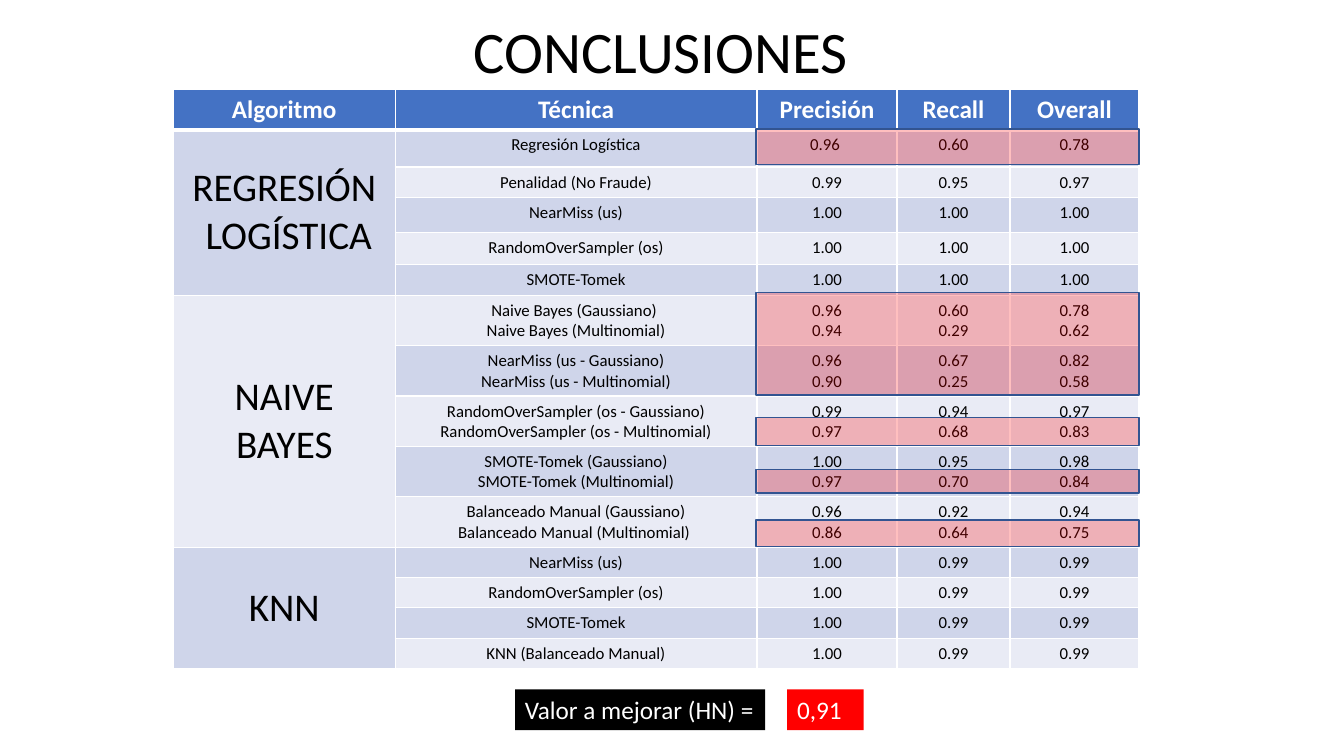
from dataclasses import dataclass

from lxml import etree
from pptx import Presentation
from pptx import util as u
from pptx.dml.color import RGBColor
from pptx.enum import shapes, text
from pptx.oxml import ns

FONT = "Calibri"
WHITE, BLACK, RED = "FFFFFF", "000000", "FF0000"
HEADER_BLUE, OUTLINE_BLUE = "4472C4", "325491"
BANDS = ("CFD5EA", "E9EBF5")
HEADINGS = ("Algoritmo", "Técnica", "Precisión", "Recall", "Overall")
COLUMN_WIDTHS = (158.4, 258.48, 100.08, 80.64, 92.16)
HEADER_HEIGHT = 27
ROW_HEIGHT = 21.6
PAIR_HEIGHT = 36


@dataclass(frozen=True)
class Result:
    """One table row; a line break separates paragraphs within a cell."""
    technique: str
    precision: str
    recall: str
    overall: str
    height: float = ROW_HEIGHT


@dataclass(frozen=True)
class Algorithm:
    name: str
    results: tuple[Result, ...]


@dataclass(frozen=True)
class Highlight:
    top: float
    height: float


ALGORITHMS = (
    Algorithm("REGRESIÓN\n LOGÍSTICA", (
        Result("Regresión Logística", "0.96 ", "0.60", "0.78", 26.64),
        Result("Penalidad (No Fraude)", "0.99", "0.95", "0.97"),
        Result("NearMiss (us)", "1.00", "1.00", "1.00", 25.2),
        Result("RandomOverSampler (os)", "1.00", "1.00", "1.00", 23.04),
        Result("SMOTE-Tomek", "1.00", "1.00", "1.00"),
    )),
    Algorithm("NAIVE BAYES", (
        Result("Naive Bayes (Gaussiano) \nNaive Bayes (Multinomial)",
               "0.96\n0.94", "0.60\n0.29", "0.78\n0.62", PAIR_HEIGHT),
        Result("NearMiss (us - Gaussiano)\nNearMiss (us - Multinomial)",
               "0.96\n0.90", "0.67\n0.25", "0.82\n0.58", PAIR_HEIGHT),
        Result("RandomOverSampler (os - Gaussiano)\nRandomOverSampler (os - Multinomial)",
               "0.99\n0.97", "0.94\n0.68", "0.97\n0.83", PAIR_HEIGHT),
        Result("SMOTE-Tomek (Gaussiano)\nSMOTE-Tomek (Multinomial)",
               "1.00\n0.97", "0.95\n0.70", "0.98\n0.84", PAIR_HEIGHT),
        Result("Balanceado Manual (Gaussiano)\nBalanceado Manual (Multinomial) ",
               "0.96\n0.86", "0.92\n0.64", "0.94\n0.75", PAIR_HEIGHT),
    )),
    Algorithm("KNN", (
        Result("NearMiss (us)", "1.00", "0.99", "0.99"),
        Result("RandomOverSampler (os)", "1.00", "0.99", "0.99"),
        Result("SMOTE-Tomek", "1.00", "0.99", "0.99"),
        Result("KNN (Balanceado Manual)", "1.00", "0.99", "0.99"),
    )),
)
HIGHLIGHTS = (
    Highlight(208.8, 73.44),
    Highlight(92.16, 25.2),
    Highlight(298.08, 20.16),
    Highlight(335.52, 16.56),
    Highlight(371.52, 18.72),
)


def color(value: str) -> RGBColor:
    return RGBColor.from_string(value)


def write(frame, content: str, *, size: float, ink: str = BLACK, bold: bool = False,
          align=text.PP_ALIGN.LEFT, spacing: float = 1.0) -> None:
    for index, line in enumerate(content.split("\n")):
        para = frame.add_paragraph() if index else frame.paragraphs[0]
        para.alignment = align
        para.line_spacing = spacing
        span = para.add_run()
        span.text = line
        span.font.name = FONT
        span.font.size = u.Pt(size)
        span.font.bold = bold
        span.font.color.rgb = color(ink)


def set_borders(cell, bottom: float = 1) -> None:
    """Add white borders, which must precede the fill in the cell properties."""
    properties = cell._tc.get_or_add_tcPr()
    for index, (side, width) in enumerate(
            (("lnL", 1), ("lnR", 1), ("lnT", 1), ("lnB", bottom))):
        border = etree.Element(ns.qn(f"a:{side}"), w=str(u.Pt(width)))
        solid = etree.SubElement(border, ns.qn("a:solidFill"))
        etree.SubElement(solid, ns.qn("a:srgbClr"), val=WHITE)
        properties.insert(index, border)


def fill_cell(cell, content: str, fill: str, *, size: float = 12, ink: str = BLACK,
              bold: bool = False, bottom: float = 1) -> None:
    cell.fill.solid()
    cell.fill.fore_color.rgb = color(fill)
    set_borders(cell, bottom)
    write(cell.text_frame, content, size=size, ink=ink, bold=bold,
          align=text.PP_ALIGN.CENTER)


def add_rectangle(page, left: float, top: float, width: float, height: float, fill: str):
    box = page.shapes.add_shape(shapes.MSO_SHAPE.RECTANGLE, u.Pt(left), u.Pt(top),
                                u.Pt(width), u.Pt(height))
    box.shadow.inherit = False
    box.fill.solid()
    box.fill.fore_color.rgb = color(fill)
    box.line.fill.background()
    return box


def add_label(page, left: float, width: float, fill: str, content: str) -> None:
    box = add_rectangle(page, left, 492.48, width, 29.08, fill)
    box.text_frame.word_wrap = False
    box.text_frame.vertical_anchor = text.MSO_ANCHOR.TOP
    write(box.text_frame, content, size=18, ink=WHITE)


def add_highlight(page, mark: Highlight) -> None:
    box = add_rectangle(page, 540, mark.top, 273.6, mark.height, RED)
    box.line.color.rgb = color(OUTLINE_BLUE)
    box.line.width = u.Pt(1)
    tint = box._element.spPr.find(ns.qn("a:solidFill")).find(ns.qn("a:srgbClr"))
    etree.SubElement(tint, ns.qn("a:alpha"), val="25000")


def add_results_table(page) -> None:
    heights = [HEADER_HEIGHT] + [result.height for algorithm in ALGORITHMS
                                 for result in algorithm.results]
    table = page.shapes.add_table(
        len(heights), len(HEADINGS), u.Pt(123.84), u.Pt(63.9),
        u.Pt(sum(COLUMN_WIDTHS)), u.Pt(sum(heights))).table
    for column, width in zip(table.columns, COLUMN_WIDTHS):
        column.width = u.Pt(width)
    for row, height in zip(table.rows, heights):
        row.height = u.Pt(height)
    for column, heading in enumerate(HEADINGS):
        fill_cell(table.cell(0, column), heading, HEADER_BLUE, size=18, ink=WHITE,
                  bold=True, bottom=3)

    row = 1
    for algorithm in ALGORITHMS:
        name_cell = table.cell(row, 0)
        name_cell.merge(table.cell(row + len(algorithm.results) - 1, 0))
        fill_cell(name_cell, algorithm.name, BANDS[(row - 1) % 2], size=28)
        name_cell.vertical_anchor = text.MSO_ANCHOR.MIDDLE
        for result in algorithm.results:
            values = (result.technique, result.precision, result.recall, result.overall)
            for column, value in enumerate(values, start=1):
                fill_cell(table.cell(row, column), value, BANDS[(row - 1) % 2])
            row += 1


def main() -> None:
    deck = Presentation()
    deck.slide_width, deck.slide_height = u.Pt(960), u.Pt(540)
    page = deck.slides.add_slide(deck.slide_layouts[6])

    title = page.shapes.add_textbox(u.Pt(331.2), u.Pt(2.88), u.Pt(297.36), u.Pt(72))
    title.text_frame.word_wrap = True
    title.text_frame.vertical_anchor = text.MSO_ANCHOR.MIDDLE
    write(title.text_frame, "CONCLUSIONES", size=42, spacing=0.9)

    add_label(page, 367.92, 178.56, BLACK, "Valor a mejorar (HN) =")
    add_label(page, 562.32, 54.72, RED, "0,91")
    add_results_table(page)
    for mark in HIGHLIGHTS:
        add_highlight(page, mark)
    deck.save("out.pptx")


if __name__ == "__main__":
    main()
